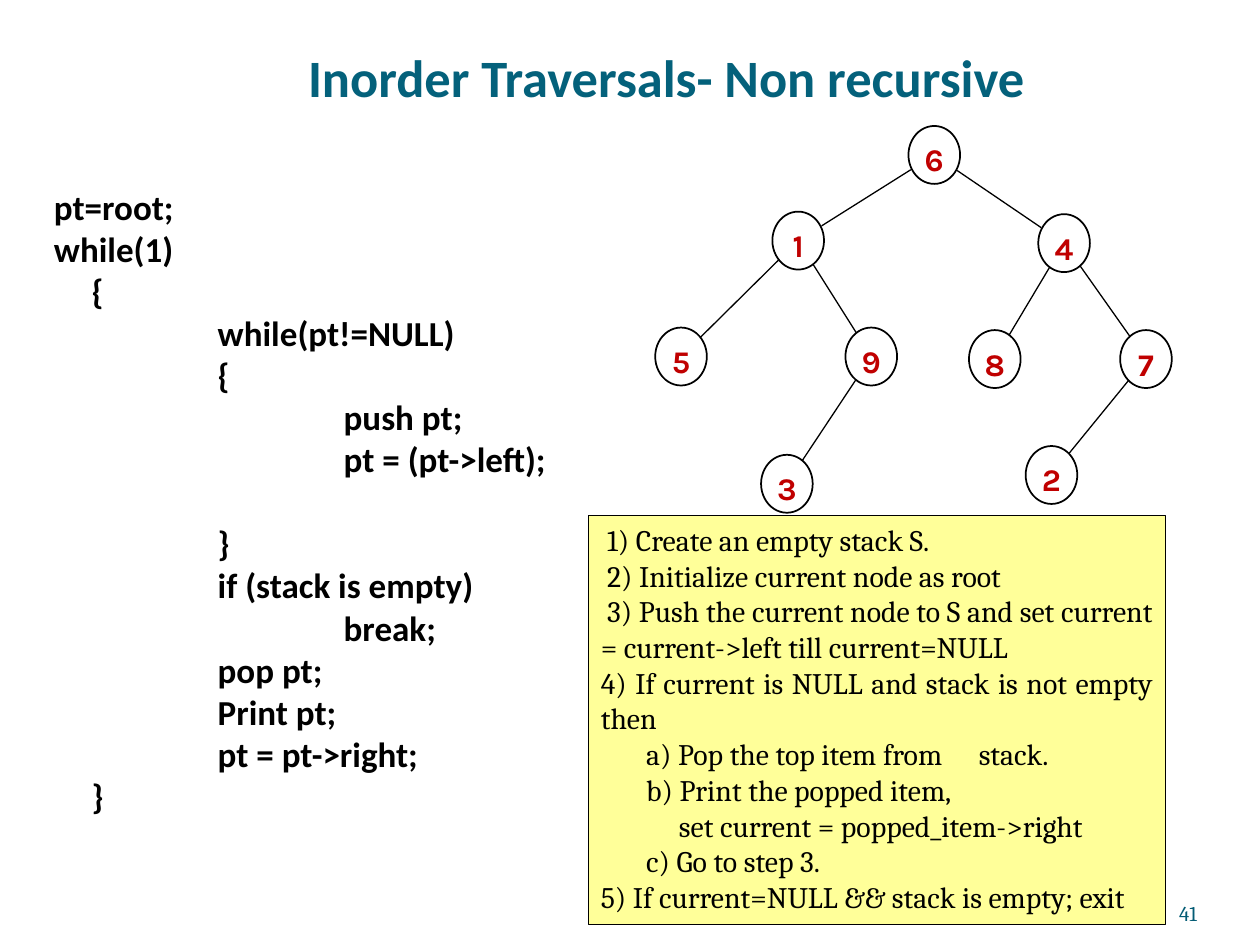
from math import hypot

from lxml.etree import SubElement
from pptx import Presentation
from pptx.dml.color import RGBColor
from pptx.enum.shapes import MSO_CONNECTOR, MSO_SHAPE
from pptx.enum.text import MSO_ANCHOR, PP_ALIGN
from pptx.oxml.ns import qn
from pptx.util import Inches, Pt

TITLE = "Inorder Traversals- Non recursive"
PAGE = "41"

# (nesting level, code line)
CODE = [
    (0, "pt=root;"),
    (0, "while(1)"),
    (1, "{"),
    (2, "while(pt!=NULL)"),
    (2, "{"),
    (3, "push pt;"),
    (3, "pt = (pt->left);"),
    (2, "}"),
    (2, "if (stack is empty)"),
    (3, "break;"),
    (2, "pop pt;"),
    (2, "Print pt;"),
    (2, "pt = pt->right;"),
    (1, "}"),
]
LEVELS = [0, 0.3, 1.3, 2.3]
GAP_ROW = 7  # the row set off by one empty line

# (first-line indent, step)
STEPS = [
    (0.05, "1) Create an empty stack S."),
    (0.05, "2) Initialize current node as root"),
    (0.05, "3) Push the current node to S and set current "
           "= current->left till current=NULL"),
    (0, "4) If current is NULL and stack is not empty then"),
    (0.36, "a) Pop the top item from\tstack."),
    (0.36, "b) Print the popped item,"),
    (0.62, "set current = popped_item->right"),
    (0.36, "c) Go to step 3."),
    (0, "5) If current=NULL && stack is empty; exit"),
]
STEP_TAB = 3.7

# key: left and top of the node
NODES = {
    "6": (7.21, 1), "1": (6.13, 1.68), "4": (8.24, 1.7),
    "5": (5.2, 2.6), "9": (6.71, 2.6), "8": (7.69, 2.62),
    "7": (8.89, 2.62), "3": (6.04, 3.61), "2": (8.14, 3.54),
}
EDGES = ["61", "64", "15", "19", "48", "47", "72", "93"]
NODE_W, NODE_H, REACH = 0.41, 0.46, 0.22

THEME = {
    "title": {"name": "Calibri", "size": Pt(30), "bold": True, "color": "04617B"},
    "code": {"name": "Calibri", "size": Pt(20), "bold": True, "color": "000000"},
    "node": {"name": "Karla", "size": Pt(18), "bold": True, "color": "C00000"},
    "step": {"name": "Cambria", "size": Pt(17), "bold": False, "color": "000000"},
    "page": {"name": "Cambria", "size": Pt(12), "bold": False, "color": "045C75"},
    "line": "000000",
    "panel": "FFFF99",
}


def rgb(code):
    return RGBColor.from_string(code)


def style(font, role):
    for key, value in THEME[role].items():
        if key == "color":
            font.color.rgb = rgb(value)
        else:
            setattr(font, key, value)


def write(para, text, role, align=PP_ALIGN.LEFT):
    para.alignment = align
    run = para.add_run()
    run.text = text
    style(run.font, role)


def frame(shape, insets=(0.1, 0.05, 0.1, 0.05), anchor=MSO_ANCHOR.TOP, wrap=True):
    """Set the insets (left, top, right, bottom), anchor and wrapping."""
    body = shape.text_frame
    body.word_wrap = wrap
    body.vertical_anchor = anchor
    for side, size in zip(("left", "top", "right", "bottom"), insets):
        setattr(body, f"margin_{side}", Inches(size))
    return body


def rows(body, count):
    """Yield the first paragraph, then new ones, up to count."""
    yield body.paragraphs[0]
    for _ in range(count - 1):
        yield body.add_paragraph()


def box(slide, *place):
    return slide.shapes.add_textbox(*map(Inches, place))


def solid(slide, kind, place, width, fill=None):
    shape = slide.shapes.add_shape(kind, *map(Inches, place))
    shape.shadow.inherit = False
    shape.line.color.rgb = rgb(THEME["line"])
    shape.line.width = Pt(width)
    if fill:
        shape.fill.solid()
        shape.fill.fore_color.rgb = rgb(fill)
    else:
        shape.fill.background()
    return shape


def add_code(slide):
    body = frame(box(slide, 0.33, 1.42, 4.33, 5.42))
    for row, (para, (level, text)) in enumerate(zip(rows(body, len(CODE)), CODE)):
        para._p.get_or_add_pPr().set("marL", str(Inches(LEVELS[level])))
        if row == GAP_ROW:
            para.space_before = Pt(24.4)
        write(para, text, "code")


def add_steps(slide):
    panel = solid(slide, MSO_SHAPE.RECTANGLE, (4.67, 4.09, 4.58, 3.25), 0.75, THEME["panel"])
    body = frame(panel)
    for para, (indent, text) in zip(rows(body, len(STEPS)), STEPS):
        props = para._p.get_or_add_pPr()
        props.set("marL", "0")
        props.set("indent", str(Inches(indent)))
        if "\t" in text:
            stops = SubElement(props, qn("a:tabLst"))
            SubElement(stops, qn("a:tab"), pos=str(Inches(STEP_TAB)), algn="l")
        write(para, text, "step", PP_ALIGN.JUSTIFY)


def add_edge(slide, start, end):
    """Join two nodes along the line between their centres, rim to rim."""
    (x1, y1), (x2, y2) = [
        (x + NODE_W / 2, y + NODE_H / 2) for x, y in (NODES[start], NODES[end])
    ]
    span = hypot(x2 - x1, y2 - y1)
    dx, dy = REACH * (x2 - x1) / span, REACH * (y2 - y1) / span
    ends = map(Inches, (x1 + dx, y1 + dy, x2 - dx, y2 - dy))
    edge = slide.shapes.add_connector(MSO_CONNECTOR.STRAIGHT, *ends)
    edge.line.color.rgb = rgb(THEME["line"])
    edge.line.width = Pt(0.75)
    SubElement(edge._element.spPr, qn("a:effectLst"))


def add_tree(slide):
    for key, spot in NODES.items():
        node = solid(slide, MSO_SHAPE.OVAL, (*spot, NODE_W, NODE_H), 1)
        body = frame(node, (0, 0.07, 0, 0), MSO_ANCHOR.MIDDLE, wrap=False)
        write(body.paragraphs[0], key, "node", PP_ALIGN.CENTER)
    for start, end in EDGES:
        add_edge(slide, start, end)


def main():
    deck = Presentation()
    deck.slide_width, deck.slide_height = Inches(10), Inches(7.5)
    slide = deck.slides.add_slide(deck.slide_layouts[6])

    head = frame(box(slide, 0.75, 0, 9.08, 0.86), (0, 0.05, 0, 0), MSO_ANCHOR.BOTTOM)
    write(head.paragraphs[0], TITLE, "title", PP_ALIGN.CENTER)
    add_code(slide)
    add_tree(slide)
    page = frame(box(slide, 8.67, 6.95, 0.83, 0.4), (0, 0, 0, 0), MSO_ANCHOR.BOTTOM)
    write(page.paragraphs[0], PAGE, "page", PP_ALIGN.RIGHT)
    add_steps(slide)
    deck.save("out.pptx")


if __name__ == "__main__":
    main()
